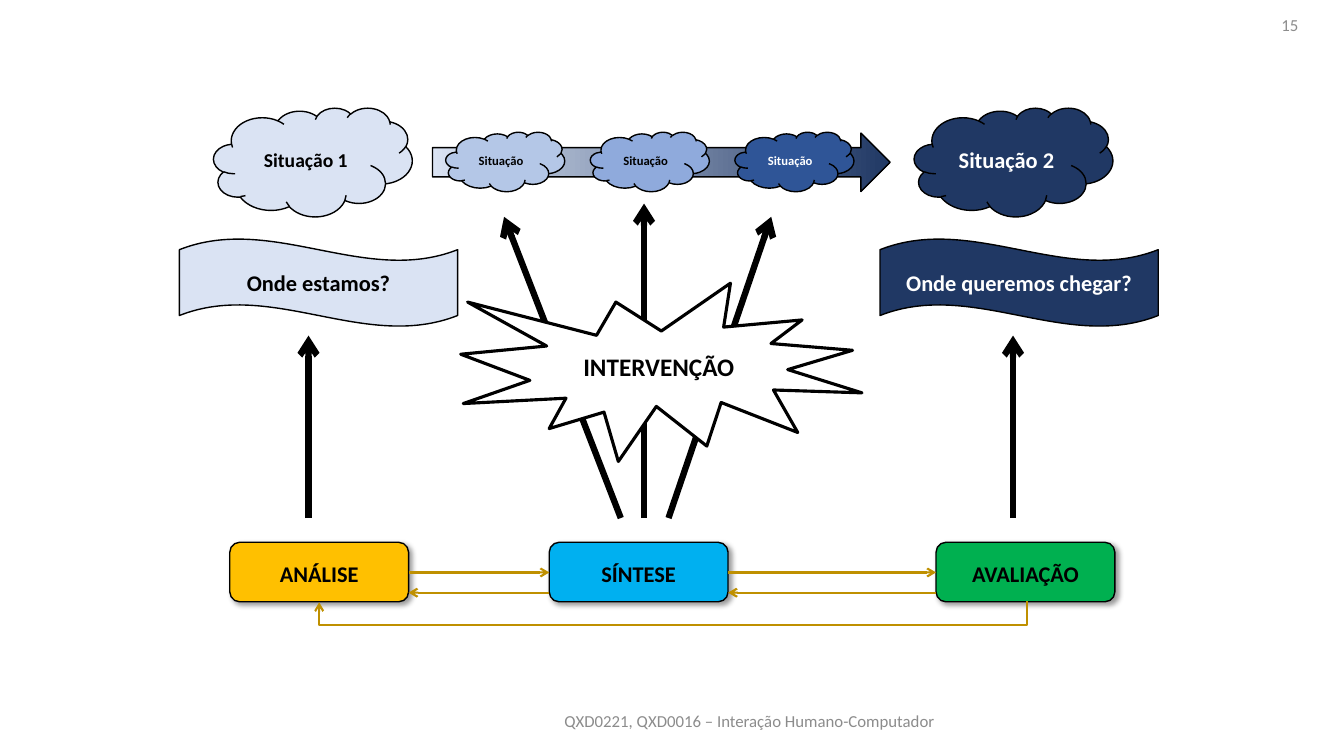
from collections import namedtuple

from lxml import etree
from pptx import Presentation, util as u
from pptx.dml.color import RGBColor
from pptx.enum import shapes, text
from pptx.oxml.ns import qn

BLACK = RGBColor(0x00, 0x00, 0x00)
WHITE = RGBColor(0xFF, 0xFF, 0xFF)
GRAY = RGBColor(0x8C, 0x8C, 0x8C)
PALE = RGBColor(0xDA, 0xE3, 0xF3)
LIGHT = RGBColor(0xB4, 0xC7, 0xE7)
MEDIUM = RGBColor(0x8F, 0xAA, 0xDC)
STRONG = RGBColor(0x2F, 0x55, 0x97)
NAVY = RGBColor(0x20, 0x38, 0x64)
AMBER = RGBColor(0xFF, 0xC0, 0x00)
SKY = RGBColor(0x00, 0xB0, 0xF0)
GREEN = RGBColor(0x00, 0xB0, 0x50)
OCHRE = RGBColor(0xBF, 0x90, 0x00)

FONT = "Calibri"
KIND = shapes.MSO_SHAPE
ALIGN = text.PP_ALIGN


class Box(namedtuple("Box", "left top width height")):
    """A rectangle in inches, divided by percentages."""

    def point(self, across, down):
        """Return the point at the given percentages."""
        return self.left + self.width * across / 100, self.top + self.height * down / 100

    def inner(self, across, down, width, height):
        """Return the inner box at the given percentages."""
        return Box(*self.point(across, down), self.width * width / 100, self.height * height / 100)


def inches(values):
    """Convert numbers to lengths."""
    return [u.Inches(value) for value in values]


def add_xml(parent, tag, **attributes):
    """Append a drawing element and return it."""
    return etree.SubElement(parent, qn(tag), {key: str(value) for key, value in attributes.items()})


def write(shape, words, size, color=BLACK, bold=True, align=ALIGN.CENTER, spacing=None, after=None):
    """Write one formatted paragraph in a shape."""
    frame = shape.text_frame
    frame.word_wrap = True
    frame.vertical_anchor = text.MSO_ANCHOR.MIDDLE
    para = frame.paragraphs[0]
    para.alignment = align
    if spacing:
        para.line_spacing = spacing
    if after:
        para.space_after = u.Pt(after)
    span = para.add_run()
    span.text = words
    span.font.name = FONT
    span.font.size = u.Pt(size)
    span.font.bold = bold
    span.font.color.rgb = color


def add_figure(page, kind, box, fill, weight=1):
    """Add a black-outlined preset shape."""
    figure = page.shapes.add_shape(kind, *inches(box))
    figure.shadow.inherit = False
    figure.fill.solid()
    figure.fill.fore_color.rgb = fill
    figure.line.color.rgb = BLACK
    figure.line.width = u.Pt(weight)
    return figure


def add_arrow(page, start, end, color=BLACK, weight=4.5, kind=shapes.MSO_CONNECTOR.STRAIGHT):
    """Add a connector with an open arrowhead at its end."""
    arrow = page.shapes.add_connector(kind, *inches((*start, *end)))
    arrow.line.color.rgb = color
    arrow.line.width = u.Pt(weight)
    properties = arrow._element.spPr
    add_xml(properties.find(qn("a:ln")), "a:tailEnd", type="arrow")
    add_xml(properties, "a:effectLst")
    return arrow


def add_return(page, start, end, drop):
    """Add an elbow arrow that leaves downward, runs left and comes back up."""
    rise = 0.01
    span = start[0] - end[0]
    middle = (start[0] + end[0]) / 2
    elbow = add_arrow(page, (middle - rise / 2, start[1] - span / 2),
                      (middle + rise / 2, start[1] + span / 2),
                      OCHRE, 1.5, shapes.MSO_CONNECTOR.ELBOW)
    properties = elbow._element.spPr
    properties.find(qn("a:xfrm")).set("rot", str(90 * 60000))
    guides = properties.find(qn("a:prstGeom")).find(qn("a:avLst"))
    add_xml(guides, "a:gd", name="adj1", fmla=f"val {round(drop / rise * 100000)}")


def add_drop_shadow(figure):
    """Give a shape a soft shadow toward the lower right."""
    effects = figure._element.spPr.find(qn("a:effectLst"))
    shadow = add_xml(effects, "a:outerShdw", blurRad=int(u.Pt(4)), dist=int(u.Pt(3)),
                     dir=45 * 60000, algn="tl", rotWithShape=0)
    add_xml(add_xml(shadow, "a:srgbClr", val=BLACK), "a:alpha", val=40000)


def add_situation(page, box, name, question, fill, color, size, arrow_at):
    """Place a situation cloud, its question and the arrow below."""
    cloud = add_figure(page, KIND.CLOUD, box.inner(12.3, 0, 71.4, 26.5), fill)
    write(cloud, name, size, color)
    wave = add_figure(page, KIND.WAVE, box.inner(0, 31.9, 100, 21.4), fill)
    write(wave, question, 16, color)
    add_arrow(page, box.point(arrow_at, 100), box.point(arrow_at, 55.5))


def add_transition(page, box):
    """Place the gradient arrow and its three clouds."""
    band = add_figure(page, KIND.RIGHT_ARROW, box.inner(0, 1.7, 100, 98.3), PALE)
    band.fill.gradient()
    band.fill.gradient_angle = 0
    for stop, color in zip(band.fill.gradient_stops, (PALE, NAVY)):
        stop.color.rgb = color
    for index, (fill, color) in enumerate([(LIGHT, BLACK), (MEDIUM, BLACK), (STRONG, WHITE)]):
        cloud = add_figure(page, KIND.CLOUD, box.inner(2.9 + 31.6 * index, 0, 26, 100), fill)
        write(cloud, "Situação", 9, color)


def add_intervention(page, box):
    """Place three rising arrows behind the burst."""
    for foot, tip, height in [(39.9, 10.8, 4.2), (45.7, 45.7, 0), (51.8, 77.4, 4.2)]:
        add_arrow(page, box.point(foot, 100), box.point(tip, height))
    burst = add_figure(page, KIND.EXPLOSION1, box.inner(0, 25.3, 100, 56.7), WHITE, 2.25)
    write(burst, "INTERVENÇÃO", 18)


def add_cycle(page, box):
    """Place the three steps and the arrows between them."""
    width, height = 20.2, 71.1
    steps = [("ANÁLISE", 0, AMBER), ("SÍNTESE", 36.1, SKY), ("AVALIAÇÃO", 79.8, GREEN)]
    for name, left, fill in steps:
        step = add_figure(page, KIND.ROUNDED_RECTANGLE, box.inner(left, 0, width, height), fill)
        add_drop_shadow(step)
        write(step, name, 16, spacing=1.15, after=10)
    for (_, left, _), (_, right, _) in zip(steps, steps[1:]):
        add_arrow(page, box.point(left + width, 36.1), box.point(right, 36.1), OCHRE, 1.5)
        add_arrow(page, box.point(right, 60.2), box.point(left + width, 60.2), OCHRE, 1.5)
    add_return(page, box.point(90.1, height), box.point(10.1, height),
               box.height * (100 - height) / 100)


def add_margin_text(page, box, words, align):
    """Place a gray line of text in the page margin."""
    label = page.shapes.add_textbox(*inches(box))
    write(label, words, 12, GRAY, bold=False, align=align)


def main():
    """Build and save the deck."""
    deck = Presentation()
    sheet = Box(0, 0, 13.33, 7.5)
    deck.slide_width, deck.slide_height = inches(sheet[2:])
    page = deck.slides.add_slide(deck.slide_layouts[6])
    add_situation(page, sheet.inner(13.35, 14.27, 20.7, 54.27), "Situação 1",
                  "Onde estamos?", PALE, BLACK, 14, 46.4)
    add_situation(page, sheet.inner(65.48, 14.27, 20.7, 54.27), "Situação 2",
                  "Onde queremos chegar?", NAVY, WHITE, 16, 47.8)
    add_transition(page, sheet.inner(32.18, 17.47, 34.05, 7.87))
    add_cycle(page, sheet.inner(17.1, 71.73, 65.85, 11.07))
    add_margin_text(page, sheet.inner(26.18, 92.67, 59.18, 5.33),
                    "QXD0221, QXD0016 – Interação Humano-Computador", ALIGN.CENTER)
    add_margin_text(page, sheet.inner(74.85, 0.67, 22.5, 5.33), "15", ALIGN.RIGHT)
    add_intervention(page, sheet.inner(34.28, 26.93, 29.85, 41.6))
    deck.save("out.pptx")


if __name__ == "__main__":
    main()
